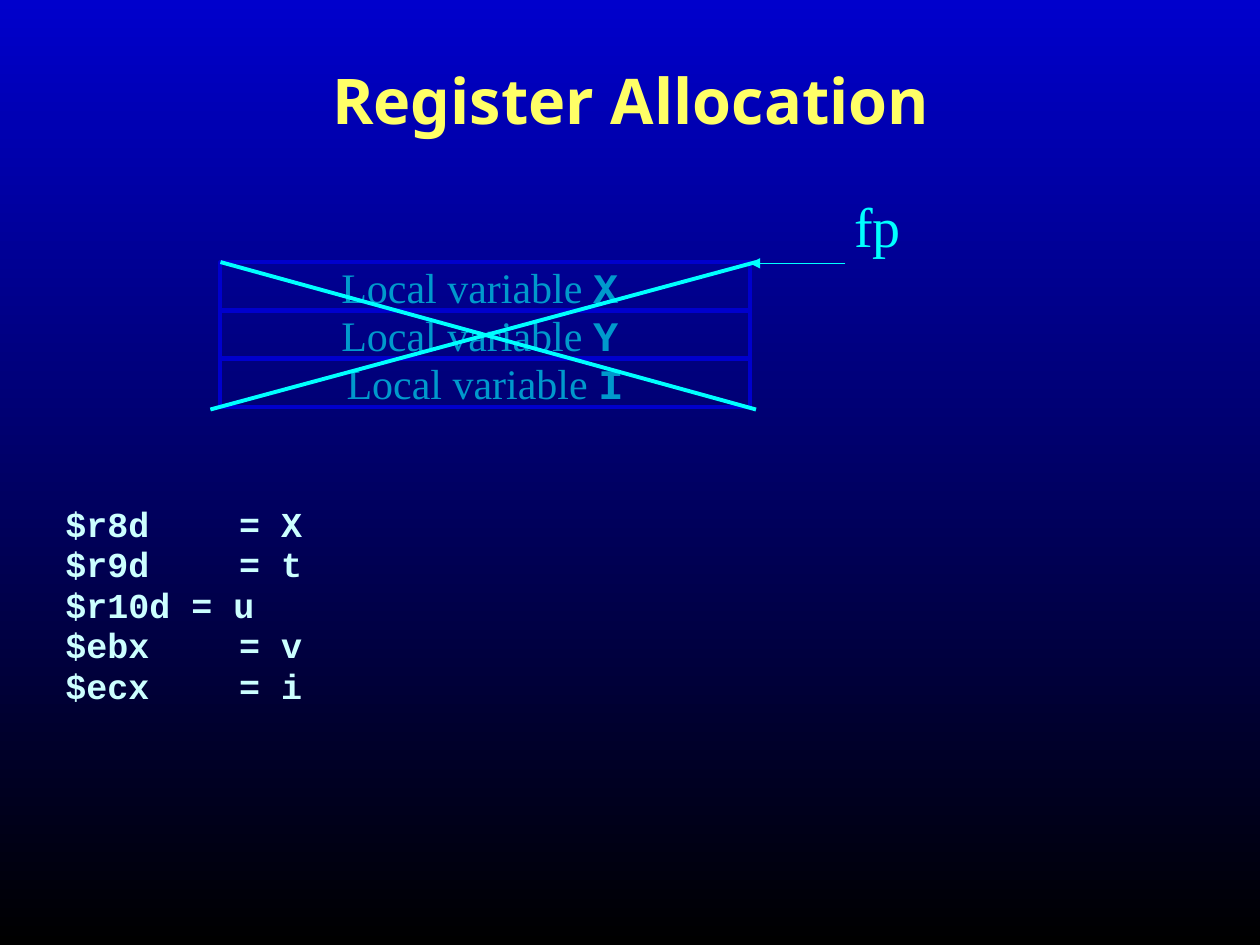
from lxml import etree
from pptx import Presentation
from pptx.dml.color import RGBColor
from pptx.enum.shapes import MSO_CONNECTOR, MSO_SHAPE
from pptx.enum.text import MSO_ANCHOR, PP_ALIGN
from pptx.oxml.ns import qn
from pptx.util import Inches, Pt

RECTANGLE = MSO_SHAPE.RECTANGLE
STRAIGHT = MSO_CONNECTOR.STRAIGHT
MIDDLE, TOP = MSO_ANCHOR.MIDDLE, MSO_ANCHOR.TOP
CENTER, LEFT = PP_ALIGN.CENTER, PP_ALIGN.LEFT

BLUE = RGBColor(0x00, 0x00, 0xCC)
BLACK = RGBColor(0x00, 0x00, 0x00)
YELLOW = RGBColor(0xFF, 0xFF, 0x66)
CYAN = RGBColor(0x00, 0xFF, 0xFF)
PALE_CYAN = RGBColor(0xCC, 0xFF, 0xFF)
TEAL = RGBColor(0x00, 0x99, 0xCC)

SERIF, MONO, SANS = "Times New Roman", "Courier New", "Noto Sans"

REGISTERS = ["$r8d \t= X", "$r9d \t= t", "$r10d = u", "$ebx \t= v", "$ecx \t= i"]
VARIABLES = [("X", " "), ("Y", " "), ("I", "")]
ROW_LEFT, ROW_TOP, ROW_WIDTH, ROW_HEIGHT = 1.75, 2.08, 4.2, 0.39
ROW_STEP = 0.38


def set_font(font, name, size, color, bold=False):
    """Set the face, size, colour and weight of a font."""
    font.name, font.size, font.bold = name, Pt(size), bold
    font.color.rgb = color


def paint_background(page):
    """Fill the page from blue at the top to black at the bottom."""
    fill = page.background.fill
    fill.gradient()
    fill.gradient_angle = 270
    for stop, color, position in zip(fill.gradient_stops, (BLUE, BLACK), (0, 1)):
        stop.color.rgb = color
        stop.position = position


def add_text(page, area, lines, font, align=LEFT, anchor=TOP, wrap=True):
    """Add a text box with one paragraph per line and return its paragraphs."""
    frame = page.shapes.add_textbox(*map(Inches, area)).text_frame
    frame.word_wrap = wrap
    frame.vertical_anchor = anchor
    frame.text = "\n".join(lines)
    for para in frame.paragraphs:
        para.alignment = align
        set_font(para.font, *font)
    return frame.paragraphs


def add_register_list(page):
    """Add the register assignments with a hanging indent and one-inch tabs."""
    paragraphs = add_text(page, (0.42, 4, 9.17, 2.92), REGISTERS,
                          (MONO, 20, PALE_CYAN, True))
    for para in paragraphs:
        para.line_spacing = 0.8
        para.space_before = Pt(4)
        properties = para._p.get_or_add_pPr()
        properties.set("marL", str(Inches(0.38)))
        properties.set("indent", str(-Inches(0.38)))
        properties.set("defTabSz", str(Inches(1)))


def add_variable_row(page, top, variable, ending):
    """Add one outlined stack row that names a local variable."""
    area = (ROW_LEFT, top, ROW_WIDTH, ROW_HEIGHT)
    box = page.shapes.add_shape(RECTANGLE, *map(Inches, area))
    box.shadow.inherit = False
    box.fill.background()
    box.line.color.rgb = BLUE
    box.line.width = Pt(2.25)
    frame = box.text_frame
    frame.word_wrap = False
    frame.vertical_anchor = MIDDLE
    para = frame.paragraphs[0]
    para.alignment = CENTER
    parts = [("Local variable ", SERIF, False), (variable, MONO, True),
             (ending, SERIF, False)]
    for text, face, bold in parts:
        if text:
            span = para.add_run()
            span.text = text
            set_font(span.font, face, 24, TEAL, bold)


def add_line(page, start, end, width, arrow=False):
    """Add a cyan line, with an arrowhead at its end if asked."""
    line = page.shapes.add_connector(STRAIGHT, *map(Inches, start + end))
    line.line.color.rgb = CYAN
    line.line.width = Pt(width)
    if arrow:
        etree.SubElement(line.line._get_or_add_ln(), qn("a:tailEnd"), type="triangle")
    etree.SubElement(line._element.spPr, qn("a:effectLst"))


def main():
    """Build the slide and save it."""
    deck = Presentation()
    deck.slide_width, deck.slide_height = Inches(10), Inches(7.5)
    page = deck.slides.add_slide(deck.slide_layouts[6])
    paint_background(page)
    add_text(page, (0.42, 0.16, 9.17, 1.25), ["Register Allocation"],
             (SANS, 36, YELLOW, True), CENTER, MIDDLE)
    add_register_list(page)
    add_line(page, (6.71, 2.09), (5.95, 2.09), 0.75, arrow=True)
    add_text(page, (6.68, 1.47, 0.57, 0.63), ["fp"], (SERIF, 32, CYAN), wrap=False)
    for index, (variable, ending) in enumerate(VARIABLES):
        add_variable_row(page, ROW_TOP + index * ROW_STEP, variable, ending)
    add_line(page, (ROW_LEFT, ROW_TOP), (6, 3.25), 2.25)
    add_line(page, (6, ROW_TOP), (1.67, 3.25), 2.25)
    deck.save("out.pptx")


main()
